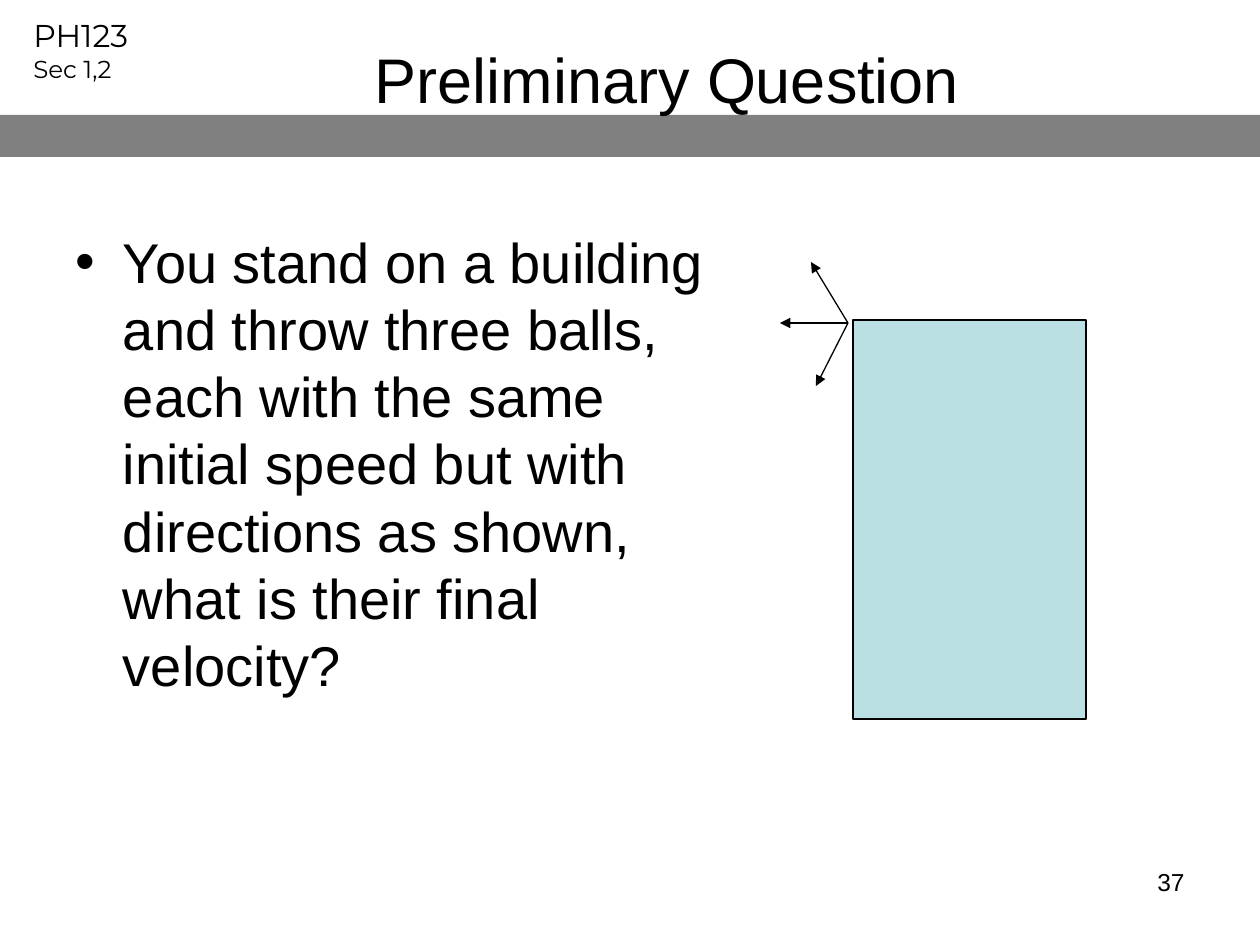
"""Build the Preliminary Question slide about three thrown balls."""
from typing import NamedTuple, Optional

from lxml import etree
from pptx import Presentation
from pptx.dml.color import RGBColor
from pptx.enum.shapes import MSO_CONNECTOR, MSO_SHAPE
from pptx.enum.text import MSO_ANCHOR, PP_ALIGN
from pptx.oxml.ns import qn
from pptx.util import Emu, Pt

PX = 914400 / 126
BLACK = "000000"
RECT, STRAIGHT = MSO_SHAPE.RECTANGLE, MSO_CONNECTOR.STRAIGHT
LEFT, CENTER, RIGHT = PP_ALIGN.LEFT, PP_ALIGN.CENTER, PP_ALIGN.RIGHT
TOP, MIDDLE = MSO_ANCHOR.TOP, MSO_ANCHOR.MIDDLE


class Box(NamedTuple):
    left: int
    top: int
    width: int
    height: int


class Line(NamedTuple):
    text: str
    size: int
    font: str = "Arial"


COURSE = [Line("PH123", 18, "Montserrat"), Line("Sec 1,2", 14, "Montserrat")]
TITLE = [Line("Preliminary Question", 36)]
QUESTION = [Line(
    "You stand on a building and throw three balls, each with the same "
    "initial speed but with directions as shown, what is their final velocity?", 32)]
NUMBER = [Line("37", 14)]
THROW_START = (848, 323)
THROW_ENDS = [(811, 262), (780, 323), (816, 386)]


def px(n: int) -> Emu:
    """Turn pixels into EMU."""
    return Emu(round(n * PX))


def color(value: str) -> RGBColor:
    """Turn a hex string into a colour."""
    return RGBColor.from_string(value)


def place(sp, box: Box) -> None:
    """Move and size a shape."""
    for name, n in box._asdict().items():
        setattr(sp, name, px(n))


def write(sp, lines: list[Line], align=LEFT, anchor=TOP, wrap: bool = True) -> None:
    """Write formatted lines into a shape."""
    tf = sp.text_frame
    for name, value in {"word_wrap": wrap, "vertical_anchor": anchor}.items():
        setattr(tf, name, value)
    for i, line in enumerate(lines):
        p = tf.add_paragraph() if i else tf.paragraphs[0]
        p.alignment, p.space_before = align, Pt(0)
        r = p.add_run()
        r.text = line.text
        for name, value in {"name": line.font, "size": Pt(line.size)}.items():
            setattr(r.font, name, value)
        r.font.color.rgb = color(BLACK)


def add_rect(s, box: Box, fill: str, line: Optional[str] = None):
    """Add a filled rectangle, outlined when a line colour is given."""
    sp = s.shapes.add_shape(RECT, *map(px, box))
    sp.shadow.inherit = False
    sp.fill.solid()
    sp.fill.fore_color.rgb = color(fill)
    if line:
        sp.line.color.rgb, sp.line.width = color(line), Pt(0.75)
    else:
        sp.line.fill.background()
    return sp


def add_arrow(s, start: tuple[int, int], end: tuple[int, int]) -> None:
    """Add a thin arrow pointing at its end."""
    sp = s.shapes.add_connector(STRAIGHT, *map(px, start + end))
    sp.line.color.rgb, sp.line.width = color(BLACK), Pt(0.75)
    etree.SubElement(sp.line._get_or_add_ln(), qn("a:tailEnd"), type="triangle")
    etree.SubElement(sp._element.spPr, qn("a:effectLst"))


def main() -> None:
    """Build and save the slide."""
    prs = Presentation()
    prs.slide_width, prs.slide_height = px(1260), px(945)
    s = prs.slides.add_slide(prs.slide_layouts[1])
    title, body = s.placeholders

    course = s.shapes.add_textbox(*map(px, Box(21, 10, 137, 79)))
    write(course, COURSE, wrap=False)
    bar = add_rect(s, Box(0, 115, 1270, 42), "808080")
    number = s.shapes.add_textbox(*map(px, Box(903, 861, 294, 66)))
    write(number, NUMBER, RIGHT)
    for sp in (title, body):
        s.shapes._spTree.append(sp._element)

    place(title, Box(221, 0, 892, 157))
    write(title, TITLE, CENTER, MIDDLE)
    place(body, Box(63, 221, 654, 624))
    write(body, QUESTION)

    add_rect(s, Box(853, 320, 233, 399), "BBE0E3", BLACK)
    for end in THROW_ENDS:
        add_arrow(s, THROW_START, end)
    prs.save("out.pptx")


if __name__ == "__main__":
    main()
